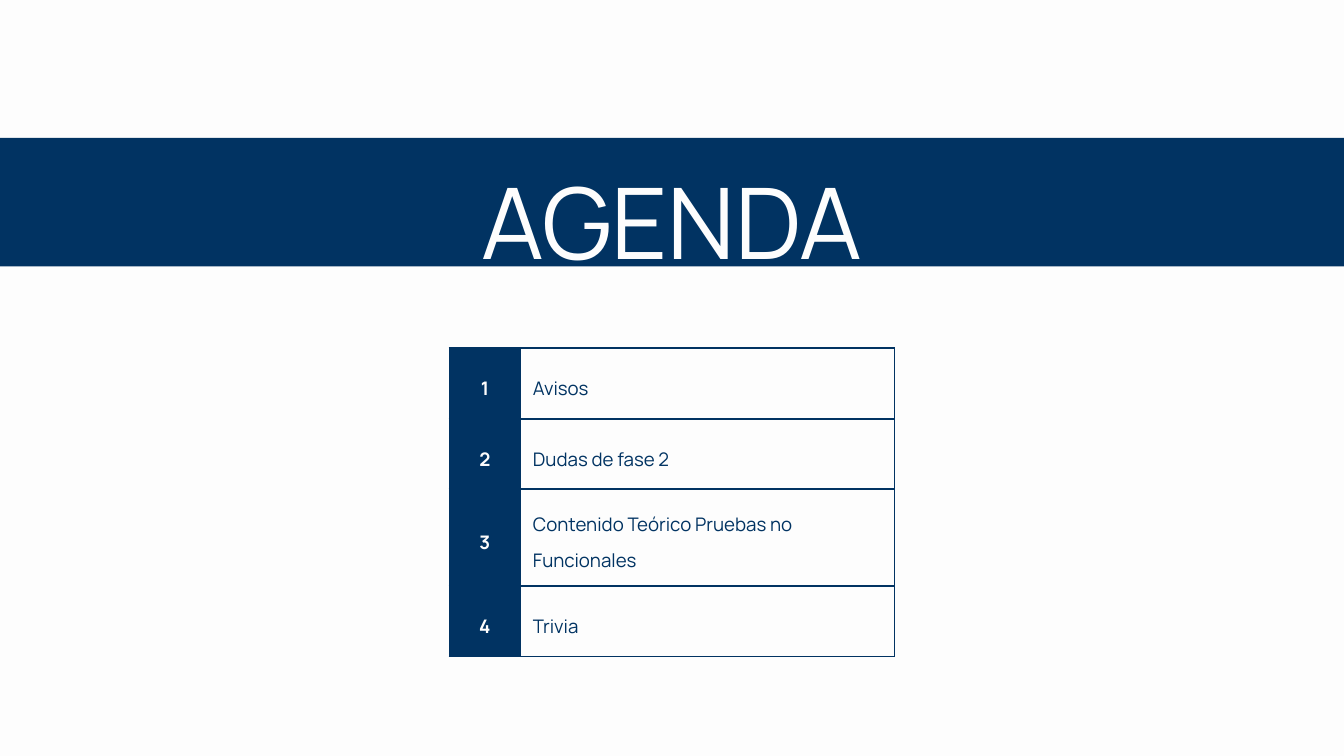
from lxml import etree
from pptx import Presentation
from pptx.dml.color import RGBColor
from pptx.enum.shapes import MSO_SHAPE
from pptx.enum.text import MSO_ANCHOR, MSO_AUTO_SIZE, PP_ALIGN
from pptx.oxml.ns import qn
from pptx.util import Pt

RECT = MSO_SHAPE.RECTANGLE
TOP, MIDDLE = MSO_ANCHOR.TOP, MSO_ANCHOR.MIDDLE
LEFT, CENTER = PP_ALIGN.LEFT, PP_ALIGN.CENTER
NO_FIT = MSO_AUTO_SIZE.NONE

TOPICS = [
    "Avisos",
    "Dudas de fase 2",
    "Contenido Teórico Pruebas no Funcionales",
    "Trivia",
]


def color(code):
    return RGBColor.from_string(code)


class Deck:
    font = "Manrope"
    navy = "013362"
    white = "FDFDFD"

    def __init__(self, wide, high):
        self.prs = Presentation()
        self.prs.slide_width, self.prs.slide_height = Pt(wide), Pt(high)
        self.slide = self.prs.slides.add_slide(self.prs.slide_layouts[5])
        back = self.slide.background.fill
        back.solid()
        back.fore_color.rgb = color(self.white)

    def style(self, para, size, code, align, space, bold=False):
        para.alignment, para.line_spacing = align, space
        font = para.font
        font.name, font.size, font.bold = self.font, Pt(size), bold
        font.color.rgb = color(code)

    def band(self, x, y, w, h):
        shape = self.slide.shapes.add_shape(RECT, Pt(x), Pt(y), Pt(w), Pt(h))
        shape.shadow.inherit = False
        shape.fill.solid()
        shape.fill.fore_color.rgb = color(self.navy)
        shape.line.fill.background()

    def title(self, text, x, y, w, h, size):
        """Fill the title placeholder and bring it to the front."""
        shape = self.slide.shapes.title
        shape.left, shape.top, shape.width, shape.height = Pt(x), Pt(y), Pt(w), Pt(h)
        frame = shape.text_frame
        frame.text = text
        frame.word_wrap, frame.auto_size = True, NO_FIT
        frame.vertical_anchor = TOP
        frame.margin_left = frame.margin_right = 0
        frame.margin_top = frame.margin_bottom = 0
        self.style(frame.paragraphs[0], size, self.white, CENTER, 1.2)
        shape.element.getparent().append(shape.element)

    def border(self, cell, width):
        props = cell._tc.get_or_add_tcPr()
        for side in ("L", "R", "T", "B"):
            line = etree.SubElement(props, qn(f"a:ln{side}"), w=str(Pt(width)))
            fill = etree.SubElement(line, qn("a:solidFill"))
            etree.SubElement(fill, qn("a:srgbClr"), val=self.navy)

    def cell(self, cell, text, head):
        cell.text = text
        cell.vertical_anchor = MIDDLE
        cell.margin_left = cell.margin_right = Pt(13.5)
        cell.margin_top = cell.margin_bottom = Pt(13.5)
        self.border(cell, 2.07)
        if head:
            cell.fill.solid()
            cell.fill.fore_color.rgb = color(self.navy)
            self.style(cell.text_frame.paragraphs[0], 20, self.white, CENTER, 1.4, True)
        else:
            cell.fill.background()
            self.style(cell.text_frame.paragraphs[0], 20, self.navy, LEFT, 1.4)

    def agenda(self, topics, x, y, widths, high):
        """Add a table of numbered topics."""
        table = self.slide.shapes.add_table(
            len(topics), 2, Pt(x), Pt(y), Pt(sum(widths)), Pt(high * len(topics))
        ).table
        table.first_row = table.horz_banding = False
        for col, width in zip(table.columns, widths):
            col.width = Pt(width)
        for i, topic in enumerate(topics):
            table.rows[i].height = Pt(high)
            self.cell(table.cell(i, 0), str(i + 1), True)
            self.cell(table.cell(i, 1), topic, False)


def main():
    deck = Deck(1440, 810)
    deck.agenda(TOPICS, 481.5, 373, (76, 401), 75.6)
    deck.band(-46, 147.8, 1532, 137.7)
    deck.title("AGENDA", 468, 147, 504, 128, 105.8)
    deck.prs.save("out.pptx")


if __name__ == "__main__":
    main()
